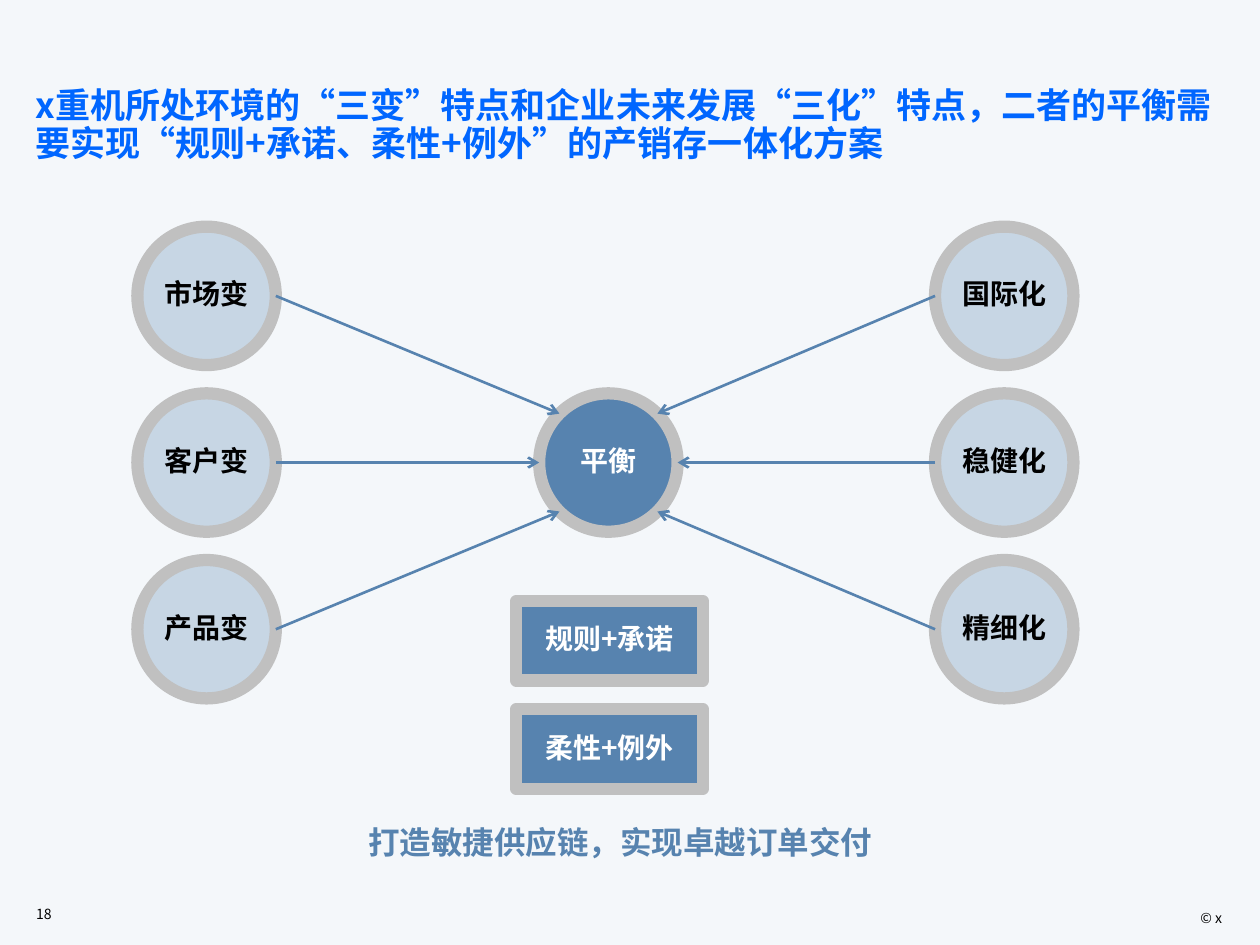
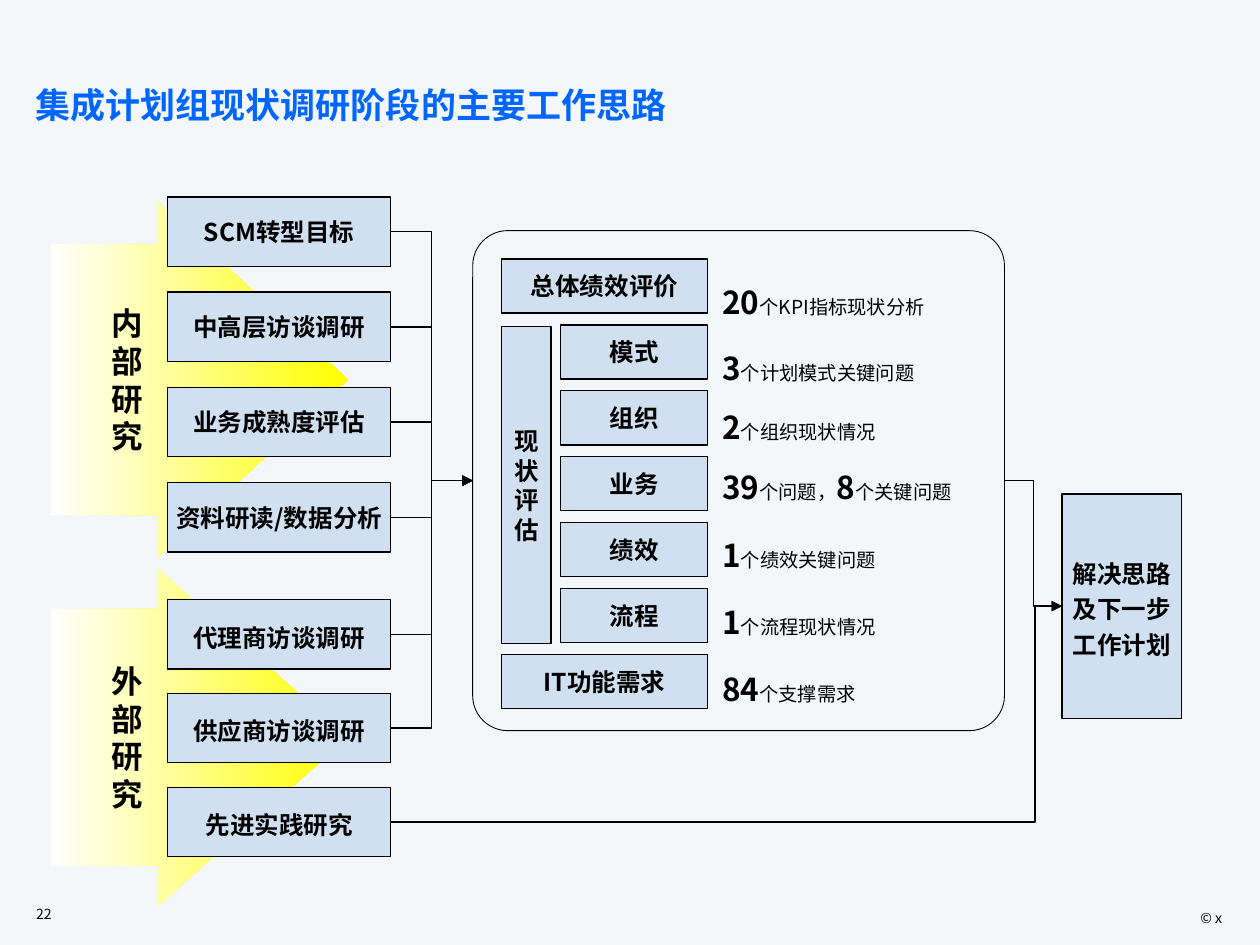
import math

import pptx
import pptx.dml.color
import pptx.enum.shapes
import pptx.enum.text
import pptx.oxml.ns
import pptx.util
from lxml import etree

Cm = pptx.util.Cm
Pt = pptx.util.Pt
qn = pptx.oxml.ns.qn
KIND = pptx.enum.shapes.MSO_SHAPE
LINK = pptx.enum.shapes.MSO_CONNECTOR
ALIGN = pptx.enum.text.PP_ALIGN
ANCHOR = pptx.enum.text.MSO_ANCHOR

# Shared look
FONT = "Noto Sans CJK SC"
PAPER, INK, WHITE = "F4F7FA", "000000", "FFFFFF"
TITLE, STEEL, PALE = "0066FF", "5783AF", "C7D6E4"
GREY, BOX, YELLOW = "C0C0C0", "D0E0F0", "FFFF00"


def rgb(code):
    return pptx.dml.color.RGBColor.from_string(code)


def put(shape, text, size=14, color=INK, bold=True, align=ALIGN.CENTER,
        anchor=ANCHOR.MIDDLE, space=1.0, wrap=True, inset=None, small=None):
    """Fill a shape with text; "|" switches between bold and small runs."""
    frame = shape.text_frame
    frame.auto_size = pptx.enum.text.MSO_AUTO_SIZE.NONE
    frame.word_wrap = wrap
    frame.vertical_anchor = anchor
    if inset is not None:
        frame.margin_left = frame.margin_right = Cm(inset)
        frame.margin_top = frame.margin_bottom = Cm(inset)
    for i, line in enumerate(text.split("\n")):
        para = frame.add_paragraph() if i else frame.paragraphs[0]
        para.alignment = align
        para.line_spacing = space
        para.space_before = Pt(0)
        for j, part in enumerate(line.split("|") if small else [line]):
            run = para.add_run()
            run.text = part
            font = run.font
            font.size = Pt(small if j % 2 else size)
            font.bold = bold and j % 2 == 0
            font.color.rgb = rgb(color)
            font.name = FONT
            etree.SubElement(run._r.rPr, qn("a:ea"), typeface=FONT)


def label(slide, text, x, y, w, h, **form):
    box = slide.shapes.add_textbox(Cm(x), Cm(y), Cm(w), Cm(h))
    put(box, text, **form)


def draw(slide, kind, x, y, w, h, fill=None, line=None, width=0.75):
    shape = slide.shapes.add_shape(kind, Cm(x), Cm(y), Cm(w), Cm(h))
    shape.shadow.inherit = False
    if fill:
        shape.fill.solid()
        shape.fill.fore_color.rgb = rgb(fill)
    else:
        shape.fill.background()
    if line:
        shape.line.color.rgb = rgb(line)
        shape.line.width = Pt(width)
    else:
        shape.line.fill.background()
    return shape


def node(slide, kind, text, x, y, w, h, fill=STEEL, color=WHITE):
    """Grey-rimmed circle or box."""
    shape = draw(slide, kind, x, y, w, h, fill, GREY, 7)
    put(shape, text, size=16, color=color, space=0.9, wrap=False)


def card(slide, text, x, y, w, h, space=1.0):
    """Thin-lined pale blue box."""
    shape = draw(slide, KIND.RECTANGLE, x, y, w, h, BOX, INK)
    put(shape, text, space=space, inset=0.03)
    return shape


def wedge(slide, text, y, h):
    """Fading block arrow with stacked letters."""
    shape = draw(slide, KIND.RIGHT_ARROW, 1.02, y, 5.99, h)
    shape.adjustments[0], shape.adjustments[1] = 0.76, 0.64
    shape.fill.gradient()
    shape.fill.gradient_angle = 0
    for stop, color, place in zip(shape.fill.gradient_stops, (WHITE, YELLOW), (0, 1)):
        stop.color.rgb = rgb(color)
        stop.position = place
    put(shape, "\n".join(text), size=18)


def style(link, color, width, head):
    link.line.color.rgb = rgb(color)
    link.line.width = Pt(width)
    props = link.element.spPr
    etree.SubElement(props.find(qn("a:ln")), qn("a:tailEnd"), type=head)
    etree.SubElement(props, qn("a:effectLst"))


def ray(slide, x1, y1, x2, y2):
    link = slide.shapes.add_connector(LINK.STRAIGHT, Cm(x1), Cm(y1), Cm(x2), Cm(y2))
    style(link, STEEL, 1.5, "arrow")


def bend(slide, start, end, turn=0.5):
    """Elbow arrow from the right side of start to the left side of end."""
    link = slide.shapes.add_connector(
        LINK.ELBOW, start.left + start.width, start.top + start.height // 2,
        end.left, end.top + end.height // 2)
    link.begin_connect(start, 3)
    link.end_connect(end, 1)
    style(link, INK, 0.75, "triangle")
    geom = link.element.spPr.find(qn("a:prstGeom"))
    guides = geom.find(qn("a:avLst"))
    if guides is None:
        guides = etree.SubElement(geom, qn("a:avLst"))
    etree.SubElement(guides, qn("a:gd"), name="adj1", fmla=f"val {round(turn * 100000)}")


def base(deck, title, page):
    """New slide with title, page number and copyright line."""
    slide = deck.slides.add_slide(deck.slide_layouts[5])
    head = slide.shapes.title
    head.left, head.top, head.width, head.height = Cm(0.46), Cm(1.65), Cm(24.51), Cm(1.93)
    put(head, title, size=20, color=TITLE, align=ALIGN.LEFT, anchor=ANCHOR.TOP, space=0.9)
    label(slide, "© x", 21.08, 18.21, 3.81, 0.51, size=8, bold=False,
          align=ALIGN.RIGHT, anchor=ANCHOR.TOP)
    label(slide, page, 0.48, 18.11, 1.78, 0.61, size=8, bold=False, align=ALIGN.LEFT)
    return slide


def balance(deck):
    slide = base(deck, "x重机所处环境的“三变”特点和企业未来发展“三化”特点，"
                 "二者的平衡需要实现“规则+承诺、柔性+例外”的产销存一体化方案", "18")
    size, top, step = 2.79, 4.57, 3.36
    left, hub, right = 2.77, 10.87, 18.85
    half = size / 2
    mid = top + step + half

    # Circles
    for x, names in ((left, ("市场变", "客户变", "产品变")),
                     (right, ("国际化", "稳健化", "精细化"))):
        for i, name in enumerate(names):
            node(slide, KIND.FLOWCHART_CONNECTOR, name, x, top + i * step,
                 size, size, PALE, INK)
    node(slide, KIND.FLOWCHART_CONNECTOR, "平衡", hub, top + step, size, size)

    # Arrows meet the hub at its side and at 45 degrees
    for x, side in ((left + size, -1), (right, 1)):
        for row in (-1, 0, 1):
            turn = math.radians(45 * row)
            ray(slide, x, mid + row * step,
                hub + half + side * half * math.cos(turn), mid + half * math.sin(turn))

    # Rules and closing line
    for i, name in enumerate(("规则+承诺", "柔性+例外")):
        node(slide, KIND.RECTANGLE, name, 10.41, 12.12 + i * 2.18, 3.76, 1.6)
    label(slide, "打造敏捷供应链，实现卓越订单交付", 7.14, 16.46, 10.72, 1.02,
          size=18, color=STEEL, anchor=ANCHOR.TOP, wrap=False)


def survey(deck):
    slide = base(deck, "集成计划组现状调研阶段的主要工作思路", "22")

    # Research streams
    wedge(slide, "外部研究", 11.46, 6.81)
    wedge(slide, "内部研究", 4.06, 7.19)
    cards = []
    for names, top, step, space in (
            (("SCM转型目标", "中高层访谈调研", "业务成熟度评估", "资料研读/数据分析"),
             3.97, 1.92, 1.0),
            (("代理商访谈调研", "供应商访谈调研", "先进实践研究"), 12.09, 1.89, 1.2)):
        for i, name in enumerate(names):
            cards.append(card(slide, name, 3.38, top + i * step, 4.5, 1.4, space))

    # Assessment panel: box name, figures, top of figures
    panel = draw(slide, KIND.ROUNDED_RECTANGLE, 9.53, 4.65, 10.72, 10.08, None, INK, 0.5)
    panel.adjustments[0] = 0.07
    card(slide, "现\n状\n评估", 10.11, 6.58, 1, 6.4)
    rows = (("总体绩效评价", "20|个KPI指标现状分析", 5.59),
            ("模式", "3|个计划模式关键问题", 6.91),
            ("组织", "2|个组织现状情况", 8.1),
            ("业务", "39|个问题，|8|个关键问题", 9.32),
            ("绩效", "1|个绩效关键问题", 10.69),
            ("流程", "1|个流程现状情况", 12.04),
            ("IT功能需求", "84|个支撑需求", 13.39))
    for i, (name, figure, y) in enumerate(rows):
        x = 10.11 if i in (0, len(rows) - 1) else 11.3
        card(slide, name, x, 5.22 + i * 1.33, 14.27 - x, 1.09)
        label(slide, figure, 14.31, y, 6.15, 1.02, size=18, small=11,
              align=ALIGN.LEFT, anchor=ANCHOR.TOP)

    # Outcome and flow
    plan = card(slide, "解决思路\n及下一步工作计划", 21.41, 9.96, 2.41, 4.52, 1.2)
    for start in cards[:-1]:
        bend(slide, start, panel)
    bend(slide, panel, plan)
    bend(slide, cards[-1], plan, 0.96)


def main():
    deck = pptx.Presentation()
    deck.slide_width, deck.slide_height = Cm(25.4), Cm(19.05)
    fill = deck.slide_master.background.fill
    fill.solid()
    fill.fore_color.rgb = rgb(PAPER)
    balance(deck)
    survey(deck)
    deck.save("out.pptx")


if __name__ == "__main__":
    main()
